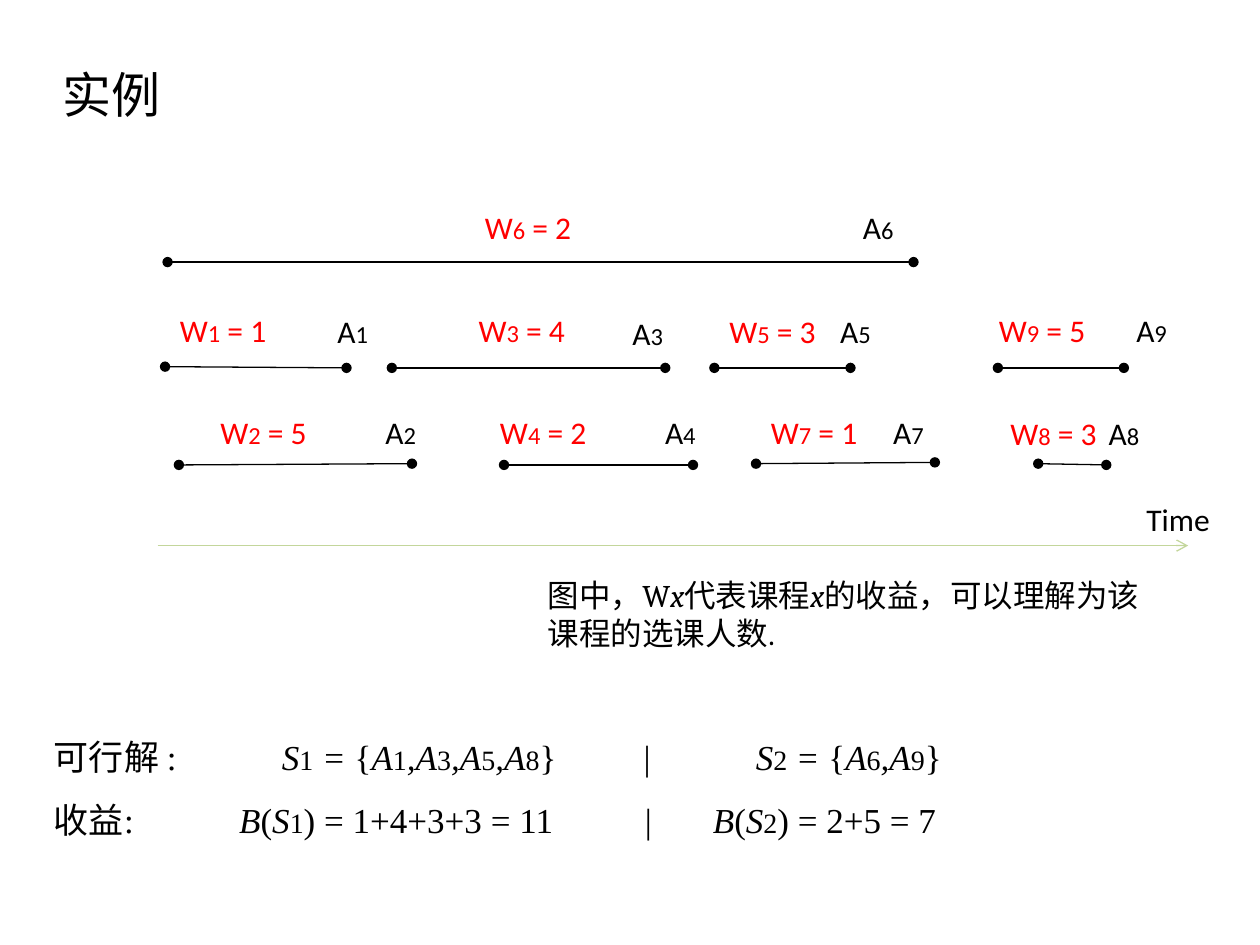
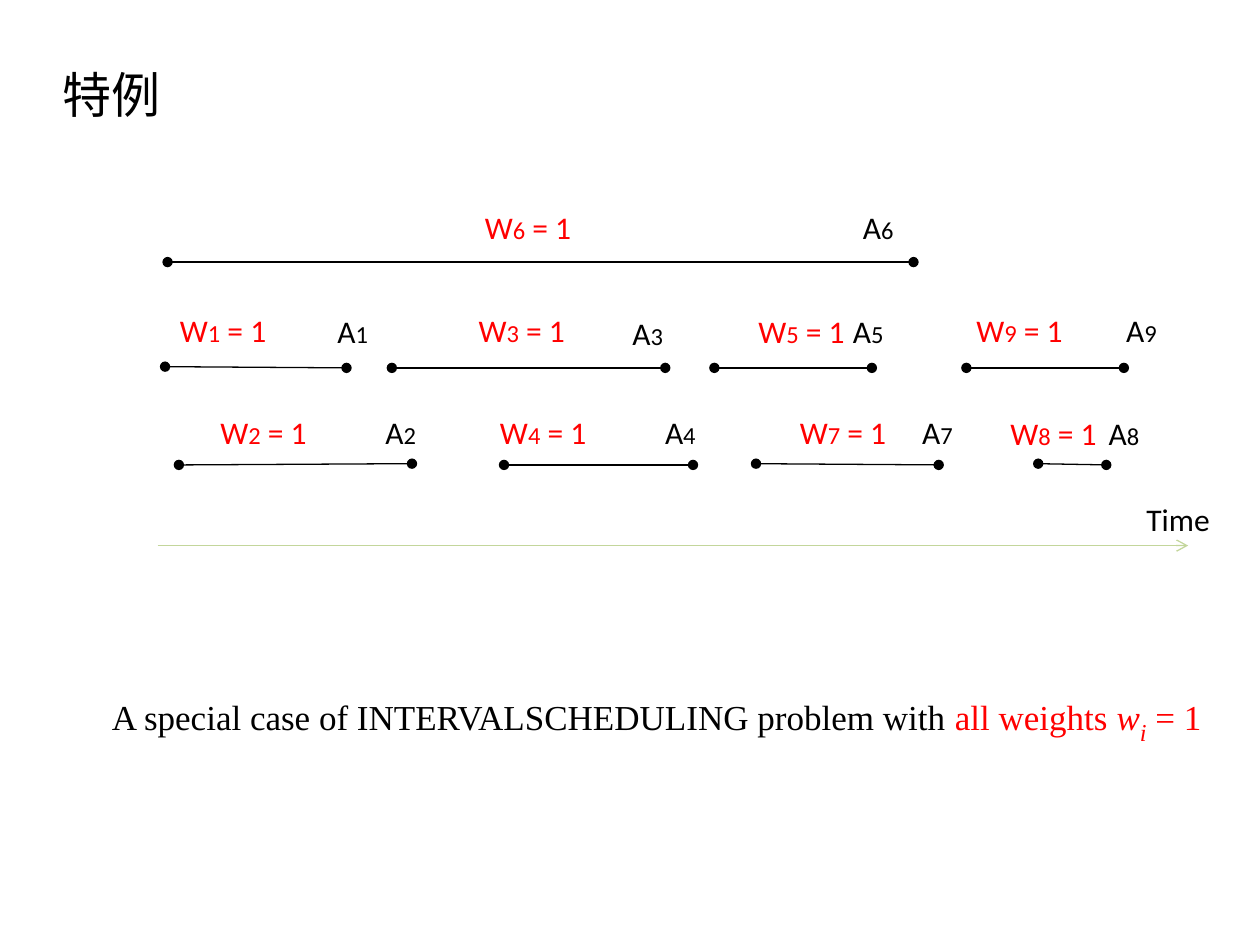
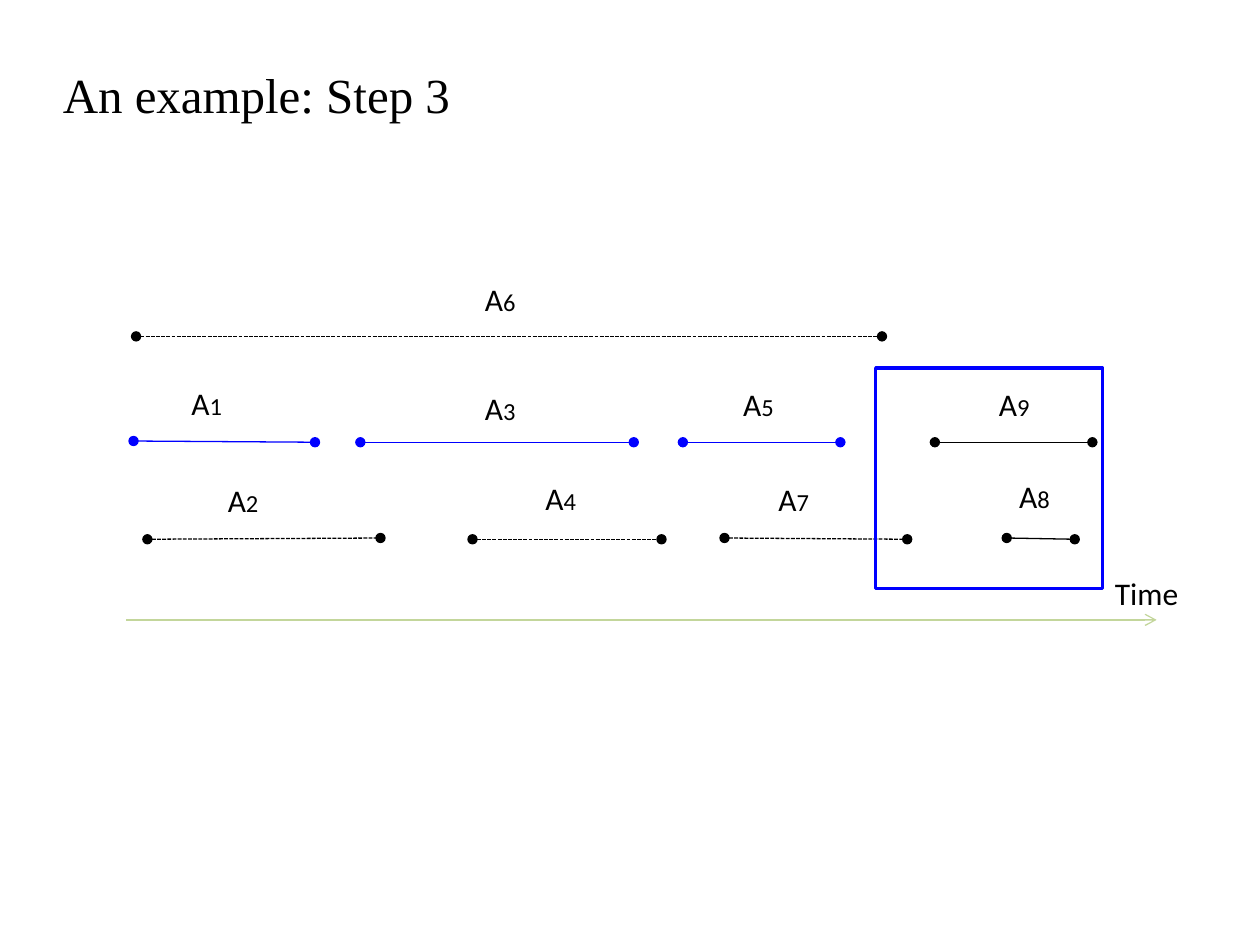
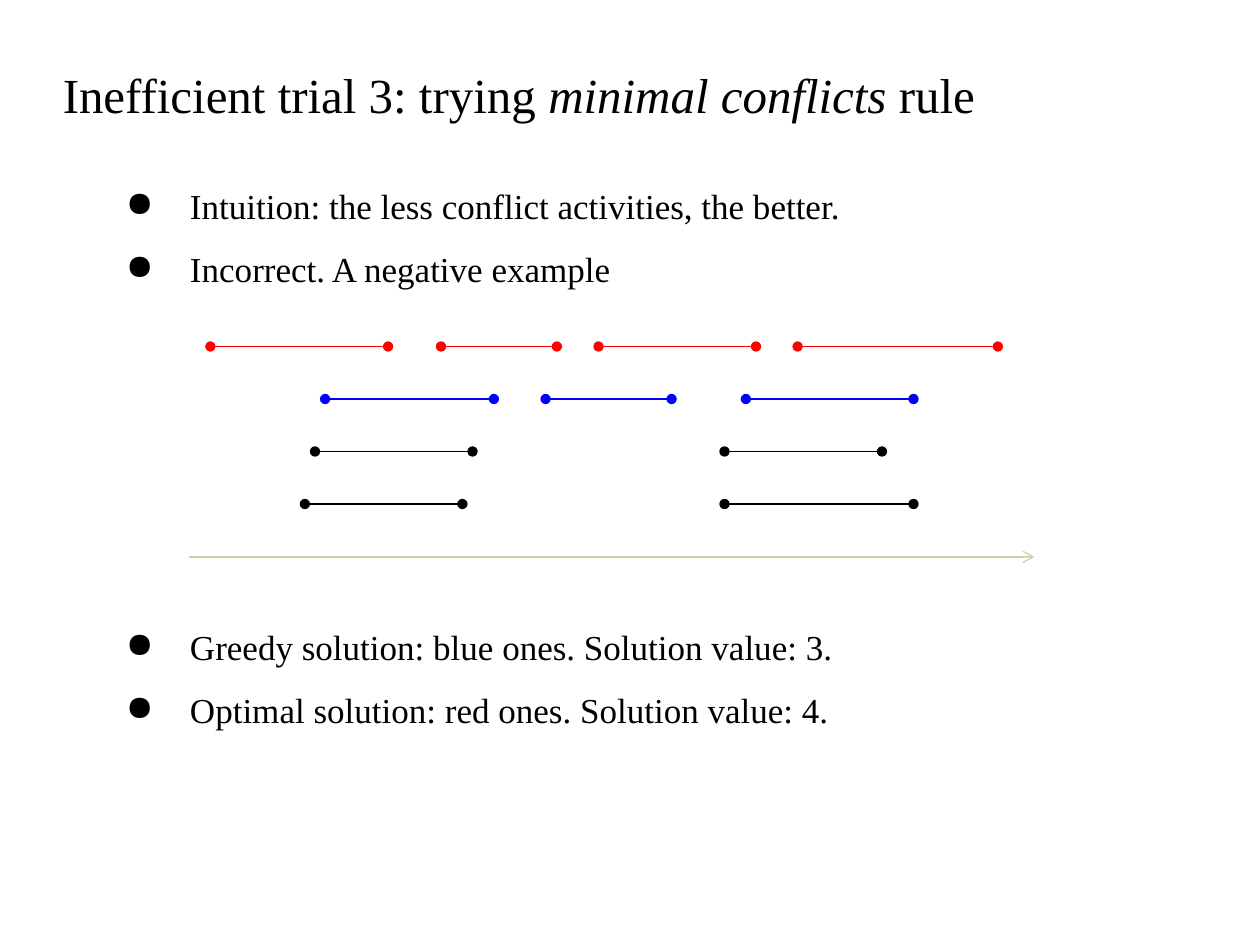
from pptx import Presentation
from pptx.dml.color import RGBColor
from pptx.enum.dml import MSO_LINE
from pptx.enum.shapes import MSO_CONNECTOR, MSO_SHAPE
from pptx.enum.text import MSO_AUTO_SIZE
from pptx.oxml.ns import qn
from pptx.util import Inches, Pt
from lxml import etree

STRAIGHT = MSO_CONNECTOR.STRAIGHT
RECTANGLE = MSO_SHAPE.RECTANGLE
DASHED = MSO_LINE.SQUARE_DOT
FIT_TEXT = MSO_AUTO_SIZE.SHAPE_TO_FIT_TEXT

BLACK = RGBColor(0x00, 0x00, 0x00)
RED = RGBColor(0xFF, 0x00, 0x00)
BLUE = RGBColor(0x00, 0x00, 0xFF)
AXIS_GREEN = RGBColor(0xC3, 0xD6, 0x9B)

SERIF, SANS, CAMBRIA = "Times New Roman", "Calibri", "Cambria"
ITALIC = {"italic": True}
INDEX = {"size": 14}
SET_INDEX = {"size": 16}
LABEL_HEIGHT = 0.4
TITLE_BOX = (0.4, 0.46, 9.3, 0.57)


def write(slide, box, paragraphs, font=SERIF, size=20, color=BLACK,
          spacing=None, tabs=(), bullet=None, gaps=None):
    """Each paragraph is a list of runs: (text, format that differs)."""
    frame = slide.shapes.add_textbox(*map(Inches, box)).text_frame
    frame.word_wrap = True
    frame.auto_size = FIT_TEXT
    for number, runs in enumerate(paragraphs):
        paragraph = frame.add_paragraph() if number else frame.paragraphs[0]
        if spacing:
            paragraph.line_spacing = spacing
        if gaps and number in gaps:
            paragraph.space_before = Pt(gaps[number])
        properties = paragraph._p.get_or_add_pPr()
        if bullet:
            properties.set("marL", str(Inches(1.01)))
            properties.set("indent", str(Inches(-0.51)))
            etree.SubElement(properties, qn("a:buChar")).set("char", bullet)
        if tabs:
            stops = etree.SubElement(properties, qn("a:tabLst"))
            for position in tabs[number]:
                stop = etree.SubElement(stops, qn("a:tab"))
                stop.set("pos", str(Inches(position)))
                stop.set("algn", "l")
        for words, style in runs:
            run = paragraph.add_run()
            run.text = words
            run.font.name = style.get("font", font)
            run.font.size = Pt(style.get("size", size))
            run.font.color.rgb = style.get("color", color)
            run.font.italic = style.get("italic", False)
            if "baseline" in style:
                run.font._element.set("baseline", str(style["baseline"]))


def draw_line(slide, x1, y1, x2, y2, color=BLACK, dash=None,
              head="oval", tail="oval"):
    line = slide.shapes.add_connector(STRAIGHT, *map(Inches, (x1, y1, x2, y2)))
    line.line.color.rgb = color
    line.line.width = Pt(0.75)
    if dash:
        line.line.dash_style = dash
    outline = line.line._get_or_add_ln()
    for end, kind in (("a:headEnd", head), ("a:tailEnd", tail)):
        if kind:
            etree.SubElement(outline, qn(end)).set("type", kind)
    etree.SubElement(line._element.spPr, qn("a:effectLst"))


deck = Presentation()
deck.slide_width, deck.slide_height = Inches(10), Inches(7.5)

# Slides and titles
titles = [
    [("实例", {})],
    [("特例", {})],
    [("An example: Step 3", {})],
    [("Inefficient trial 3: trying ", {}), ("minimal conflicts ", ITALIC), ("rule", {})],
]
for title in titles:
    slide = deck.slides.add_slide(deck.slide_layouts[6])
    write(slide, TITLE_BOX, [title], size=28)
weighted, unit, step, conflicts = deck.slides

# Activities: start and end of each interval
activities = {
    6: (1.33, 2.08, 7.25, 2.08),
    1: (1.31, 2.91, 2.75, 2.92),
    3: (3.11, 2.92, 5.28, 2.92),
    5: (5.67, 2.92, 6.92, 2.92),
    9: (7.67, 2.92, 8.92, 2.92),
    2: (1.42, 3.69, 3.27, 3.68),
    4: (4, 3.69, 5.5, 3.69),
    7: (6, 3.68, 7.45, 3.69),
    8: (8.24, 3.68, 8.78, 3.69),
}
weighted_activities = activities | {
    5: (5.67, 2.92, 6.75, 2.92),
    9: (7.92, 2.92, 8.92, 2.92),
    7: (6, 3.68, 7.42, 3.67),
}

# Weight labels: left, top, width, and the tab stop of a name in the same box
weight_labels = {
    6: (3.75, 1.6, 1.46, None),
    1: (1.33, 2.42, 0.96, None),
    3: (3.7, 2.42, 0.96, None),
    5: (5.92, 2.43, 1, None),
    9: (7.65, 2.42, 1.73, 1.19),
    2: (1.65, 3.23, 1.88, 1.31),
    4: (3.87, 3.23, 1.83, 1.31),
    7: (6.25, 3.23, 1.57, 0.97),
    8: (7.92, 3.24, 1.32, 0.78),
}
weighted_labels = weight_labels | {
    5: (5.69, 2.43, 0.92, None),
    9: (7.83, 2.42, 1.73, 1.09),
    7: (6.02, 3.23, 1.57, 0.97),
}

# Name labels in boxes of their own: left, top, width
names = {6: (6.75, 1.6, 0.9), 1: (2.58, 2.43, 0.79),
         3: (4.92, 2.44, 0.58), 5: (6.67, 2.43, 0.48)}
weighted_names = names | {5: (6.57, 2.43, 0.48)}
step_names = {6: (3.75, 2.17, 0.9), 1: (1.42, 3, 0.79), 3: (3.75, 3.04, 0.58),
              5: (5.8, 3.01, 0.48), 9: (7.83, 3.01, 0.84), 2: (1.71, 3.77, 0.77),
              4: (4.23, 3.75, 1.83), 7: (6.08, 3.76, 1.57), 8: (7.99, 3.74, 1.32)}

weights = {1: 1, 2: 5, 3: 4, 4: 2, 5: 3, 6: 2, 7: 1, 8: 3, 9: 5}
unit_weights = dict.fromkeys(weights, 1)

# Timelines of the first three slides; the third is moved as a whole
timelines = [
    (weighted, weighted_activities, weights, weighted_labels, weighted_names, 0, 0),
    (unit, activities, unit_weights, weight_labels, names, 0, 0),
    (step, activities, {}, {}, step_names, -0.25, 0.59),
]
chosen, excluded = (1, 3, 5), (2, 4, 6, 7)
for slide, intervals, values, labels, name_labels, dx, dy in timelines:
    for number, (x1, y1, x2, y2) in intervals.items():
        on_step = slide is step
        draw_line(slide, x1 + dx, y1 + dy, x2 + dx, y2 + dy,
                  color=BLUE if on_step and number in chosen else BLACK,
                  dash=DASHED if on_step and number in excluded else None)
    for number, (left, top, width, tab) in labels.items():
        runs = [("W", {}), (str(number), INDEX), (f" = {values[number]}", {})]
        if tab:
            runs += [("\tA", {"color": BLACK}), (str(number), INDEX | {"color": BLACK})]
        write(slide, (left, top, width, LABEL_HEIGHT), [runs], font=SANS, size=18,
              color=RED, tabs=[[tab]] if tab else ())
    for number, (left, top, width) in name_labels.items():
        write(slide, (left, top, width, LABEL_HEIGHT),
              [[("A", {}), (str(number), INDEX)]], font=SANS, size=18)
    draw_line(slide, 1.25 + dx, 4.33 + dy, 9.43 + dx, 4.33 + dy,
              color=AXIS_GREEN, head=None, tail="arrow")
    write(slide, (9 + dx, 3.92 + dy, 0.82, LABEL_HEIGHT), [[("Time", {})]],
          font=SANS, size=18)

# Slide 1: meaning of the weights
write(weighted, (4.25, 4.52, 5, 0.71),
      [[("图中，W", {}), ("x", ITALIC), ("代表课程", {}), ("x", ITALIC),
        ("的收益，可以理解为该课程的选课人数.", {})]], font=CAMBRIA, size=18)

# Slide 1: feasible solutions and their benefits
solutions = [("1", "1358", "1+4+3+3 = 11"), ("2", "69", "2+5 = 7")]
feasible, benefit = [("可行解 :", {})], [("收益:", {})]
for index, members, total in solutions:
    if index != "1":
        feasible.append(("\t|", {}))
        benefit.append(("\t|", {}))
    feasible += [("\tS", ITALIC), (index, SET_INDEX), (" = ", ITALIC), ("{", {})]
    for position, member in enumerate(members):
        feasible += [(",A" if position else "A", ITALIC), (member, SET_INDEX)]
    feasible.append(("}", {}))
    benefit += [("\tB", ITALIC), ("(", {}), ("S", ITALIC), (index, SET_INDEX),
                (f") = {total}", {})]
write(weighted, (0.33, 5.62, 9.1, 1.05), [feasible, benefit], spacing=1.5,
      tabs=[(1.81, 4.68, 5.57), (1.47, 4.69, 5.23)])

# Slide 2: the special case
write(unit, (0.79, 5.19, 9.1, 0.55),
      [[("A special case of INTERVALSCHEDULING problem with ", {}),
        ("all weights ", {"color": RED}), ("w", {"color": RED, "italic": True}),
        ("i", {"color": RED, "italic": True, "size": 24, "baseline": -25000}),
        (" = 1", {"color": RED})]], spacing=1.5)

# Slide 3: frame around the remaining activities
remaining = step.shapes.add_shape(RECTANGLE, *map(Inches, (6.95, 2.92, 1.8, 1.75)))
remaining.shadow.inherit = False
remaining.fill.background()
remaining.line.color.rgb = BLUE
remaining.line.width = Pt(2)

# Slide 4: statements, with room for the timeline before the third
statements = [
    "Intuition: the less conflict activities, the better.",
    "Incorrect. A negative example",
    "Greedy solution: blue ones. Solution value: 3.",
    "Optimal solution: red ones. Solution value: 4.",
]
write(conflicts, (0.4, 1.25, 9.1, 4.64), [[(words, {})] for words in statements],
      spacing=1.5, bullet="●", gaps={2: 180})

# Slide 4: rows of conflicting intervals
conflict_rows = [
    (RED, [(1.67, 3.08), (3.5, 4.42), (4.75, 6), (6.33, 7.92)]),
    (BLUE, [(2.58, 3.92), (4.33, 5.33), (5.92, 7.25)]),
    (BLACK, [(2.5, 3.75), (5.75, 7)]),
    (BLACK, [(2.42, 3.67), (5.75, 7.25)]),
]
for row, (color, spans) in enumerate(conflict_rows):
    y = 2.75 + row * 5 / 12
    for start, end in spans:
        draw_line(conflicts, start, y, end, y, color=color)
draw_line(conflicts, 1.5, 4.42, 8.21, 4.42, color=AXIS_GREEN, head=None, tail="arrow")

deck.save("out.pptx")
